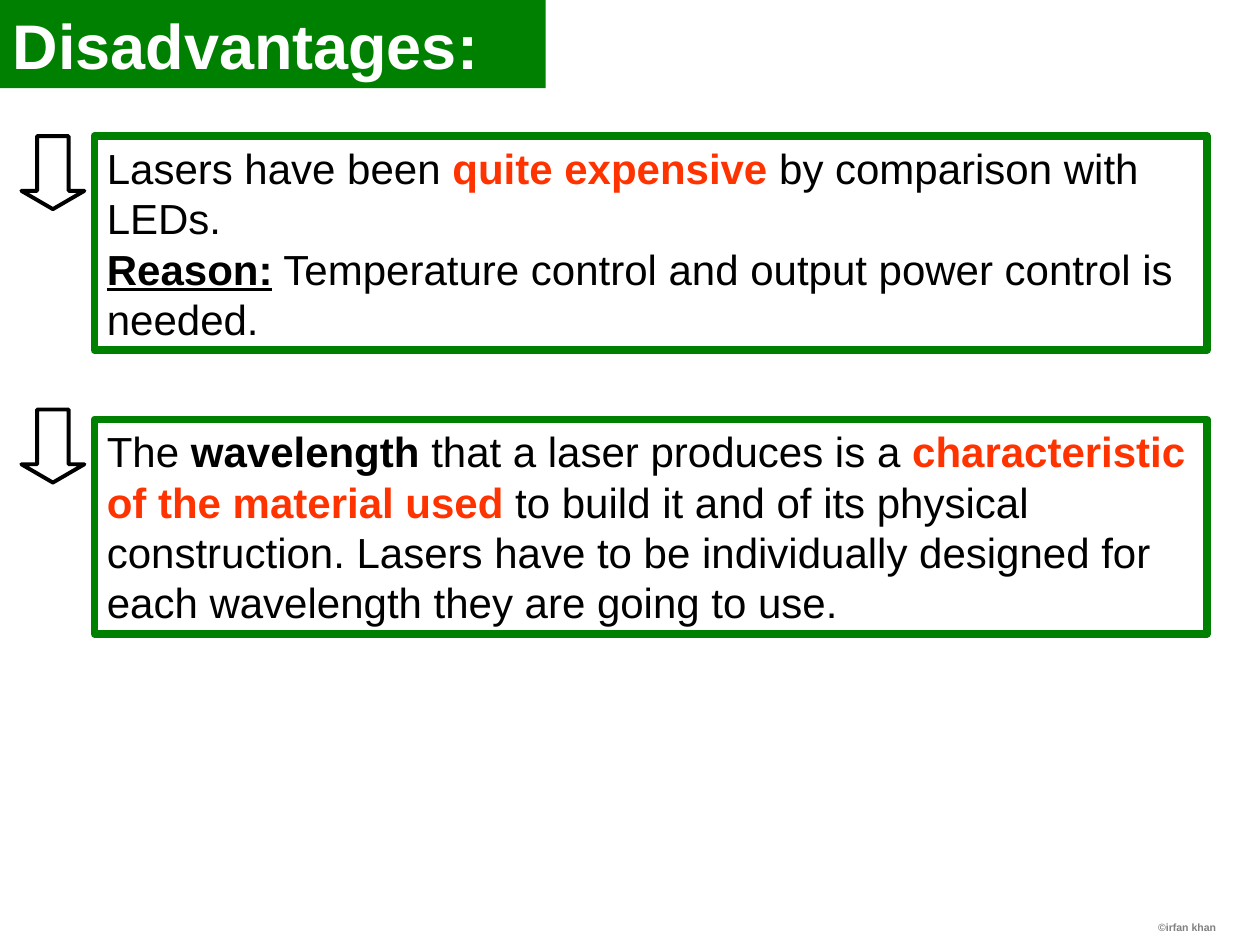
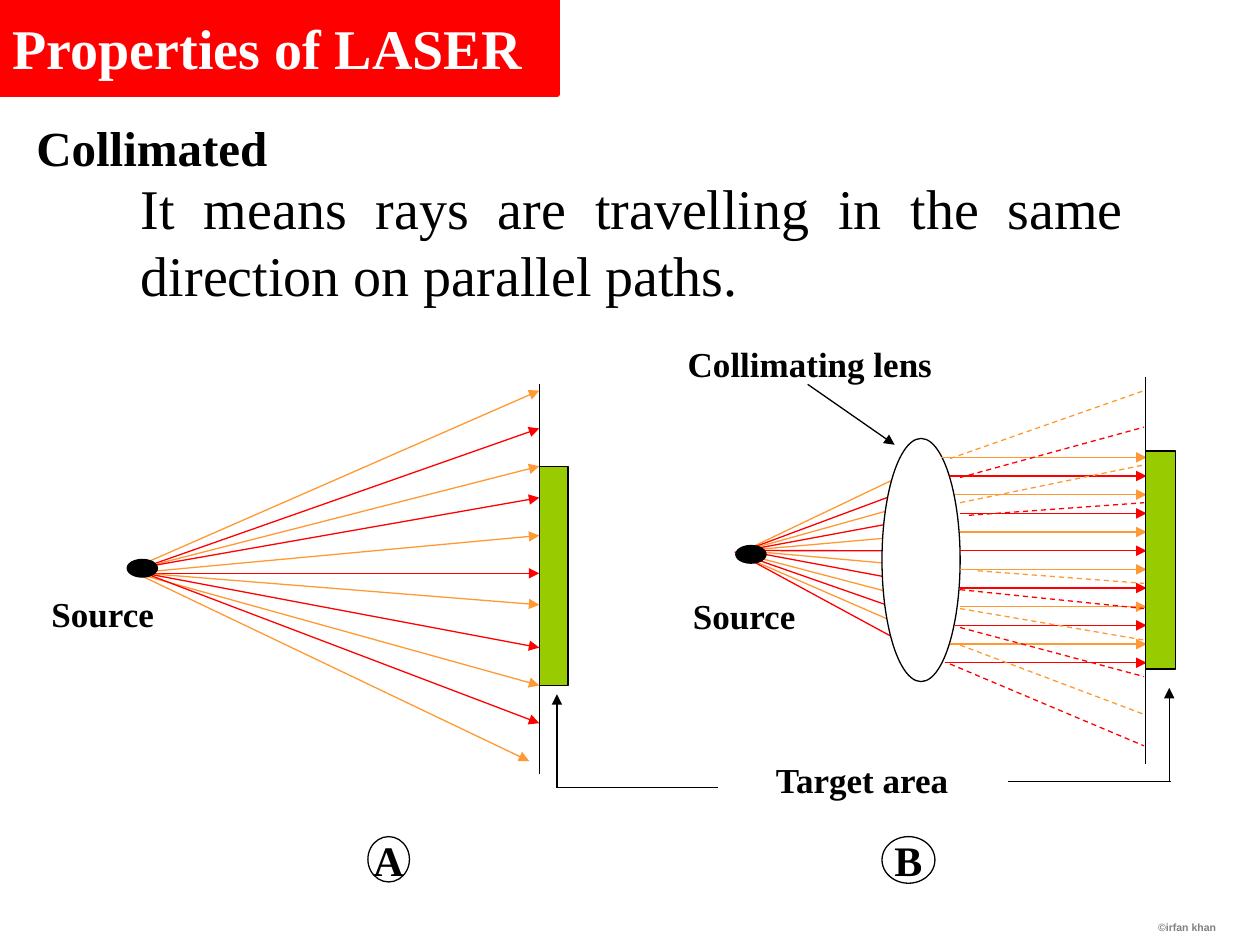
from pptx import Presentation
from pptx.dml.color import RGBColor
from pptx.enum.dml import MSO_LINE_DASH_STYLE as Dash
from pptx.enum.shapes import MSO_CONNECTOR as Connector, MSO_SHAPE as Shape
from pptx.enum.text import MSO_ANCHOR as Anchor, MSO_AUTO_SIZE as AutoSize, PP_ALIGN as Align
from pptx.oxml.ns import qn
from pptx.util import Inches, Pt
from lxml.etree import SubElement

SANS, SERIF = "Arial", "Times New Roman"
BLACK, WHITE, GRAY = "000000", "FFFFFF", "808080"
GREEN, RED, ORANGE, ACCENT, LIME = "008000", "FF0000", "FF9933", "FF3300", "99CC00"

BODY = {"name": SANS, "size": Pt(24)}
BOLD = {"bold": True}
HIGHLIGHT = {"bold": True, "color": ACCENT}
REASON = {"bold": True, "underline": True}
LABEL = {"name": SERIF, "size": Pt(20), "bold": True}
LETTER = {**LABEL, "size": Pt(24)}
CREDIT = {"name": SANS, "size": Pt(6), "bold": True, "color": GRAY}


def rgb(value):
    return RGBColor.from_string(value)


class SlideBuilder:
    def __init__(self, deck):
        self.deck = deck
        self.page = None

    def start(self, title, place, fill, font, edge=None):
        self.page = self.deck.slides.add_slide(self.deck.slide_layouts[5])
        box = self.page.shapes.title
        box.left, box.top, box.width, box.height = map(Inches, place)
        self.paint(box, fill, edge, 3)
        self.set_text(box, [[(title, {})]], {"bold": True, "color": WHITE, **font}, anchor=Anchor.MIDDLE)
        self.text((6.58, 7.22, 3.17, 0.28), "©irfan khan", CREDIT, align=Align.RIGHT, anchor=Anchor.MIDDLE)

    def paint(self, box, fill, edge, weight):
        if fill:
            box.fill.solid()
            box.fill.fore_color.rgb = rgb(fill)
        else:
            box.fill.background()
        if edge:
            box.line.color.rgb = rgb(edge)
            box.line.width = Pt(weight)
        else:
            box.line.fill.background()

    def set_text(self, box, lines, font, align=Align.LEFT, anchor=Anchor.TOP, wrap=True):
        frame = box.text_frame
        settings = {
            "word_wrap": wrap, "auto_size": AutoSize.NONE, "vertical_anchor": anchor,
            "margin_left": Inches(0.1), "margin_right": Inches(0.1),
            "margin_top": Inches(0.05), "margin_bottom": Inches(0.05),
        }
        for name, value in settings.items():
            setattr(frame, name, value)
        for index, spans in enumerate(lines):
            para = frame.add_paragraph() if index else frame.paragraphs[0]
            para.alignment = align
            for words, extra in spans:
                span = para.add_run()
                span.text = words
                for name, value in {"color": BLACK, **font, **extra}.items():
                    if name == "color":
                        span.font.color.rgb = rgb(value)
                    else:
                        setattr(span.font, name, value)

    def text(self, place, words, font, **layout):
        box = self.page.shapes.add_textbox(*map(Inches, place))
        self.set_text(box, [[(words, {})]], font, **layout)

    def shape(self, kind, place, fill=None, edge=BLACK, weight=0.75):
        box = self.page.shapes.add_shape(kind, *map(Inches, place))
        box.shadow.inherit = False
        self.paint(box, fill, edge, weight)
        return box

    def panel(self, top, lines):
        box = self.shape(Shape.RECTANGLE, (0.75, top, 8.83, 1.7), edge=GREEN, weight=4.5)
        self.set_text(box, lines, BODY)

    def down_arrow(self, top):
        arrow = self.shape(Shape.DOWN_ARROW, (0.17, top, 0.5, 0.58), weight=2.25)
        arrow.adjustments[1] = 0.29

    def badge(self, place, letter):
        circle = self.shape(Shape.OVAL, place, fill=WHITE)
        self.set_text(circle, [[(letter, {})]], LETTER, align=Align.CENTER, anchor=Anchor.MIDDLE, wrap=False)

    def line(self, start, end, color=BLACK, arrow=False, dashed=False):
        link = self.page.shapes.add_connector(Connector.STRAIGHT, *map(Inches, (*start, *end)))
        link.line.color.rgb = rgb(color)
        link.line.width = Pt(0.75)
        if dashed:
            link.line.dash_style = Dash.DASH
        properties = link._element.spPr
        if arrow:
            SubElement(properties.find(qn("a:ln")), qn("a:tailEnd"), type="triangle")
        SubElement(properties, qn("a:effectLst"))

    def rays(self, starts, ends, **style):
        for index, (start, end) in enumerate(zip(starts, ends)):
            self.line(start, end, color=RED if index % 2 else ORANGE, **style)


def build_disadvantages(builder):
    builder.start("Disadvantages:", (0, 0, 4.33, 0.7), GREEN, {"name": SANS, "size": Pt(36)})
    builder.panel(1.08, [
        [("Lasers have been ", {}), ("quite expensive", HIGHLIGHT), (" by comparison with LEDs.", {})],
        [("Reason:", REASON), (" Temperature control and output power control is needed.", {})],
    ])
    builder.panel(3.33, [[
        ("The ", {}), ("wavelength", BOLD), (" that a laser produces is a ", {}),
        ("characteristic of the material used", HIGHLIGHT),
        (" to build it and of its physical construction. Lasers have to be individually"
         " designed for each wavelength they are going to use.", {}),
    ]])
    for top in (1.08, 3.25):
        builder.down_arrow(top)


def draw_diverging_source(builder):
    builder.line((4.28, 3.05), (4.28, 6.14))
    starts = [(1.08, 4.5), *[(1.15, 4.5)] * 3, (1.15, 4.54), (1.08, 4.55),
              *[(1.15, 4.55)] * 2, (1.08, 4.55), (1.15, 4.55), (1.08, 4.55)]
    heights = [3.1, 3.4, 3.7, 3.95, 4.25, 4.55, 4.8, 5.14, 5.44, 5.74]
    builder.rays(starts, [*[(4.28, y) for y in heights], (4.2, 6.04)], arrow=True)
    builder.shape(Shape.RECTANGLE, (4.28, 3.7, 0.23, 1.74), fill=LIME)
    builder.shape(Shape.OVAL, (1.01, 4.44, 0.24, 0.14), fill=BLACK)
    builder.text((0.31, 4.65, 1.02, 0.44), "Source", LABEL, wrap=False)
    builder.line((4.42, 6.25), (5.7, 6.25))
    builder.line((4.42, 6.25), (4.42, 5.51), arrow=True)
    builder.badge((2.92, 6.64, 0.33, 0.36), "A")


def draw_collimated_source(builder):
    builder.line((9.09, 2.99), (9.09, 6.06))
    heights = [3.63 + 1.63 / 11 * row for row in range(12)]
    lens_entries = [7.46, *[7.5] * 3, *[7.58] * 3, *[7.5] * 4, 7.46]
    lens_exits = [7.47, 7.54, 7.58, *[7.62] * 6, 7.58, 7.54, 7.5]
    source_points = [*[(5.91, 4.37)] * 8, (5.99, 4.42), (5.83, 4.38), *[(5.91, 4.42)] * 2]
    builder.rays(source_points, zip(lens_entries, heights))
    builder.shape(Shape.OVAL, (7, 3.48, 0.62, 1.93), fill=WHITE)
    builder.rays(zip(lens_exits, heights), [(9.1, y) for y in heights], arrow=True)
    builder.shape(Shape.RECTANGLE, (9.09, 3.58, 0.24, 1.73), fill=LIME)

    stray_starts = [(7.54, 3.64), (7.62, 3.79), (7.62, 3.99), (7.69, 4.09), (7.76, 4.53),
                    (7.62, 4.68), (7.62, 4.83), (7.62, 4.98), (7.62, 5.12), (7.54, 5.27)]
    stray_heights = [3.1, 3.39, 3.69, 3.99, 4.63, 4.83, 5.08, 5.37, 5.67, 5.92]
    builder.rays(stray_starts, [(9.08, y) for y in stray_heights], dashed=True)
    builder.shape(Shape.OVAL, (5.84, 4.33, 0.24, 0.14), fill=BLACK)

    builder.text((5.4, 4.67, 1.02, 0.44), "Source", LABEL, wrap=False)
    builder.text((5.36, 2.67, 2.14, 0.44), "Collimating lens", LABEL, wrap=False)
    builder.line((6.41, 3.05), (7.1, 3.53), arrow=True)
    builder.line((8, 6.2), (9.29, 6.2))
    builder.line((9.28, 6.2), (9.28, 5.46), arrow=True)
    builder.badge((7, 6.64, 0.42, 0.37), "B")


def build_properties(builder):
    builder.start("Properties of LASER", (0, 0, 4.42, 0.75), RED, {"name": SERIF, "size": Pt(32)}, edge=RED)
    builder.text((0.19, 0.92, 2.1, 0.5), "Collimated", {**LABEL, "size": Pt(28)}, anchor=Anchor.MIDDLE, wrap=False)
    builder.text((1.02, 1.33, 8, 1.17), "It means rays are travelling in the same direction on parallel paths.",
                 {"name": SERIF, "size": Pt(32)}, align=Align.JUSTIFY)
    draw_diverging_source(builder)
    draw_collimated_source(builder)
    builder.text((6.06, 5.97, 1.6, 0.44), "Target area", LABEL, wrap=False)


def main():
    deck = Presentation()
    deck.slide_width, deck.slide_height = Inches(10), Inches(7.5)
    builder = SlideBuilder(deck)
    build_disadvantages(builder)
    build_properties(builder)
    deck.save("out.pptx")


if __name__ == "__main__":
    main()
